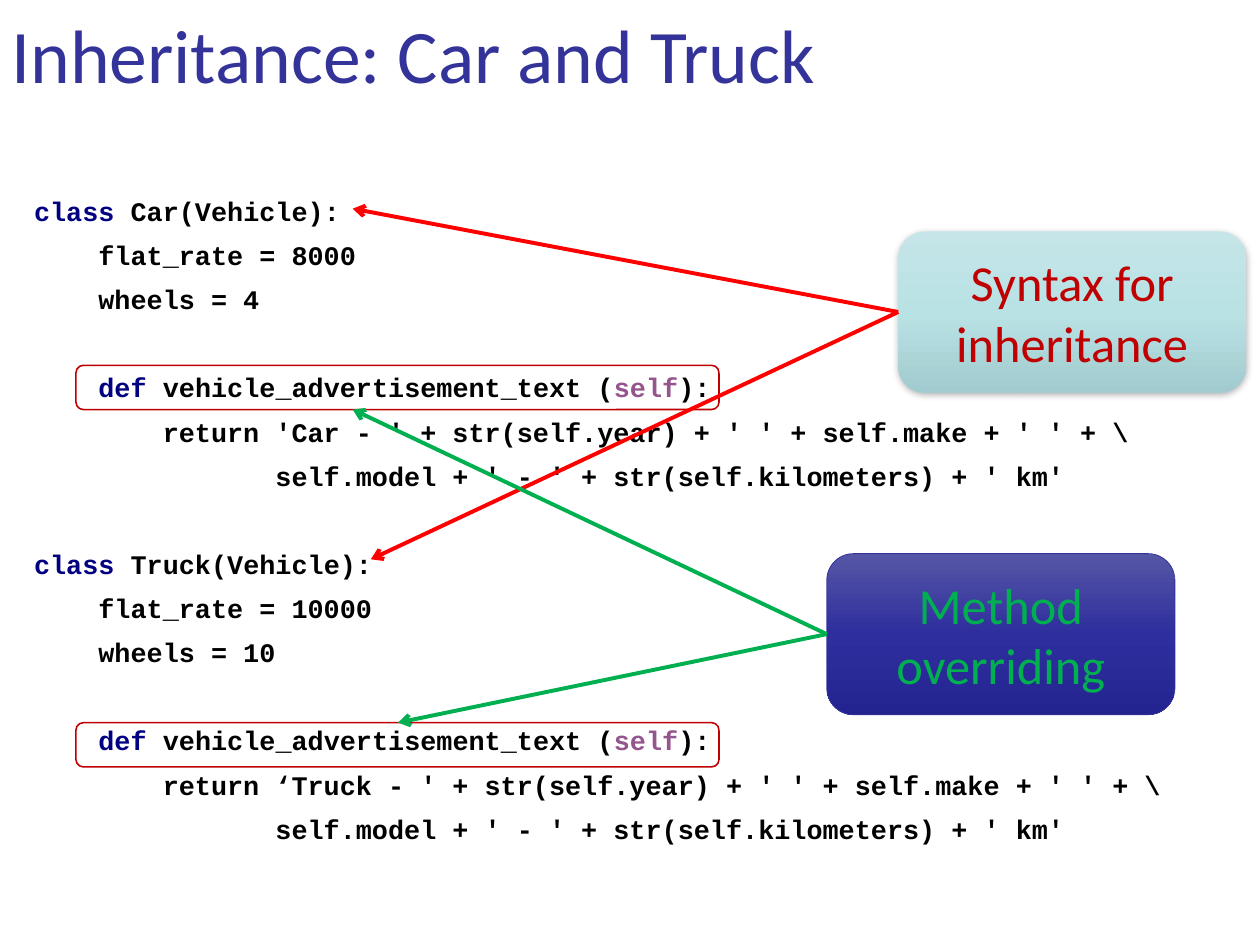
from dataclasses import dataclass
from copy import deepcopy

from pptx import Presentation
from pptx.dml.color import RGBColor
from pptx.enum.shapes import MSO_CONNECTOR as Connector, MSO_SHAPE as Shape
from pptx.enum.text import MSO_ANCHOR as Anchor, MSO_AUTO_SIZE as AutoSize, PP_ALIGN as Align
from pptx.oxml.ns import qn
from pptx.slide import Slide
from pptx.text.text import Font
from pptx.util import Inches, Pt
from lxml.etree import SubElement


@dataclass(frozen=True)
class Theme:
    text_font: str = "Calibri"
    code_font: str = "Courier New"
    title_size: int = 48
    code_size: int = 17
    callout_size: int = 32
    code_line: int = 28
    title: str = "333399"
    code: str = "000000"
    keyword: str = "000080"
    self_name: str = "94558D"
    frame: str = "C00000"
    shadow: str = "808080"
    syntax_text: str = "C00000"
    syntax_arrow: str = "FF0000"
    syntax_fill: tuple[str, ...] = ("C5E5E8", "B9E2E5", "A1CBCE")
    override: str = "00B050"
    override_fill: tuple[str, ...] = ("5656A6", "2E2E9E", "242491")
    override_line: str = "333399"


THEME = Theme()


@dataclass(frozen=True)
class CodeLine:
    runs: list[tuple[str, str]]
    gap_before: bool = False


@dataclass(frozen=True)
class Callout:
    text: str
    left: float
    top: float
    text_color: str
    fill: tuple[str, ...]
    arrow_color: str
    targets: list[tuple[float, float]]
    line_color: str | None = None
    shadow: bool = False


CALLOUT_WIDTH, CALLOUT_HEIGHT = 3.07, 1.42
METHOD_FRAME_TOPS = (3.22, 6.37)
CALLOUTS = [
    Callout("Syntax for inheritance", 7.92, 2.04, THEME.syntax_text, THEME.syntax_fill,
            THEME.syntax_arrow, [(3.11, 1.84), (3.27, 4.93)], shadow=True),
    Callout("Method overriding", 7.29, 4.88, THEME.override, THEME.override_fill,
            THEME.override, [(3.11, 3.61), (3.51, 6.37)], line_color=THEME.override_line),
]


def rgb(value: str) -> RGBColor:
    return RGBColor.from_string(value)


def style_font(font: Font, name: str, size: int, color: str, bold: bool = False) -> None:
    font.name, font.size, font.bold = name, Pt(size), bold
    font.color.rgb = rgb(color)


def class_code(name: str, rate: int, wheels: int, quote: str, gap: bool) -> list[CodeLine]:
    """Lines of one vehicle class, as coloured runs."""
    def plain(text: str) -> CodeLine:
        return CodeLine([(text, THEME.code)])

    return [
        CodeLine([("class ", THEME.keyword), (f"{name}(Vehicle):", THEME.code)], gap),
        plain(f"    flat_rate = {rate}"),
        plain(f"    wheels = {wheels}"),
        CodeLine([("    def ", THEME.keyword), ("vehicle_advertisement_text (", THEME.code),
                  ("self", THEME.self_name), ("):", THEME.code)], True),
        plain(f"        return {quote}{name} - ' + str(self.year) + ' ' + self.make + ' ' + \\"),
        plain("               self.model + ' - ' + str(self.kilometers) + ' km'"),
    ]


def add_title(slide: Slide, text: str) -> None:
    title = slide.shapes.title
    title.left, title.top, title.width, title.height = map(Inches, (0.06, 0.06, 11.03, 0.82))
    frame = title.text_frame
    frame.text = text
    frame.auto_size, frame.vertical_anchor = AutoSize.NONE, Anchor.MIDDLE
    frame.margin_left = frame.margin_right = frame.margin_top = frame.margin_bottom = Inches(0.04)
    paragraph = frame.paragraphs[0]
    paragraph.alignment = Align.LEFT
    style_font(paragraph.font, THEME.text_font, THEME.title_size, THEME.title)


def add_code(slide: Slide, lines: list[CodeLine]) -> None:
    body = slide.placeholders[1]
    body.left, body.top, body.width, body.height = map(Inches, (0.2, 1.56, 10.41, 6.77))
    frame = body.text_frame
    frame.auto_size, frame.vertical_anchor = AutoSize.NONE, Anchor.TOP
    frame.word_wrap = True
    for index, line in enumerate(lines):
        paragraph = frame.add_paragraph() if index else frame.paragraphs[0]
        properties = paragraph._p.get_or_add_pPr()
        properties.set("marL", "0")
        properties.set("indent", "0")
        SubElement(properties, qn("a:buNone"))
        paragraph.line_spacing = Pt(THEME.code_line)
        paragraph.space_before = Pt(THEME.code_line if line.gap_before else 0)
        style_font(paragraph.font, THEME.code_font, THEME.code_size, THEME.code, bold=True)
        for text, color in line.runs:
            run = paragraph.add_run()
            run.text = text
            if color != THEME.code:
                run.font.color.rgb = rgb(color)


def add_method_frame(slide: Slide, top: float) -> None:
    shape = slide.shapes.add_shape(Shape.ROUNDED_RECTANGLE, Inches(0.67), Inches(top),
                                   Inches(5.67), Inches(0.39))
    shape.shadow.inherit = False
    shape.fill.background()
    shape.line.color.rgb = rgb(THEME.frame)
    shape.line.width = Pt(1)


def add_arrow(slide: Slide, start: tuple[float, float], end: tuple[float, float],
              color: str) -> None:
    arrow = slide.shapes.add_connector(Connector.STRAIGHT, *map(Inches, start + end))
    arrow.line.color.rgb = rgb(color)
    arrow.line.width = Pt(2.5)
    SubElement(arrow.line._get_or_add_ln(), qn("a:tailEnd"), type="arrow")
    SubElement(arrow._element.spPr, qn("a:effectLst"))


def add_callout(slide: Slide, callout: Callout) -> None:
    shape = slide.shapes.add_shape(Shape.ROUNDED_RECTANGLE, Inches(callout.left),
                                   Inches(callout.top), Inches(CALLOUT_WIDTH),
                                   Inches(CALLOUT_HEIGHT))
    shape.shadow.inherit = False

    # Vertical gradient with three even stops
    shape.fill.gradient()
    shape.fill.gradient_angle = 270
    stop_list = shape._element.spPr.find(".//" + qn("a:gsLst"))
    stop_list.append(deepcopy(stop_list[0]))
    for index, (stop, color) in enumerate(zip(shape.fill.gradient_stops, callout.fill)):
        stop.color.rgb = rgb(color)
        stop.position = index / 2

    if callout.line_color:
        shape.line.color.rgb = rgb(callout.line_color)
        shape.line.width = Pt(0.5)
    else:
        shape.line.fill.background()

    if callout.shadow:
        effects = shape._element.spPr.find(qn("a:effectLst"))
        outer = SubElement(effects, qn("a:outerShdw"), blurRad=str(Pt(4.5)),
                           dist=str(Pt(1.5)), dir="5400000", rotWithShape="0")
        color = SubElement(outer, qn("a:srgbClr"), val=THEME.shadow)
        SubElement(color, qn("a:alpha"), val="63000")

    frame = shape.text_frame
    frame.text = callout.text
    frame.word_wrap, frame.vertical_anchor = True, Anchor.MIDDLE
    paragraph = frame.paragraphs[0]
    paragraph.alignment = Align.CENTER
    style_font(paragraph.font, THEME.text_font, THEME.callout_size, callout.text_color)

    start = (callout.left, callout.top + CALLOUT_HEIGHT / 2)
    for target in callout.targets:
        add_arrow(slide, start, target, callout.arrow_color)


def main() -> None:
    presentation = Presentation()
    presentation.slide_width, presentation.slide_height = Inches(11.11), Inches(8.33)
    slide = presentation.slides.add_slide(presentation.slide_layouts[1])

    # Title and code
    add_title(slide, "Inheritance: Car and Truck")
    add_code(slide, class_code("Car", 8000, 4, "'", gap=False)
             + class_code("Truck", 10000, 10, "‘", gap=True))

    # Method frames, callouts and their arrows
    for top in METHOD_FRAME_TOPS:
        add_method_frame(slide, top)
    for callout in CALLOUTS:
        add_callout(slide, callout)

    presentation.save("out.pptx")


if __name__ == "__main__":
    main()
